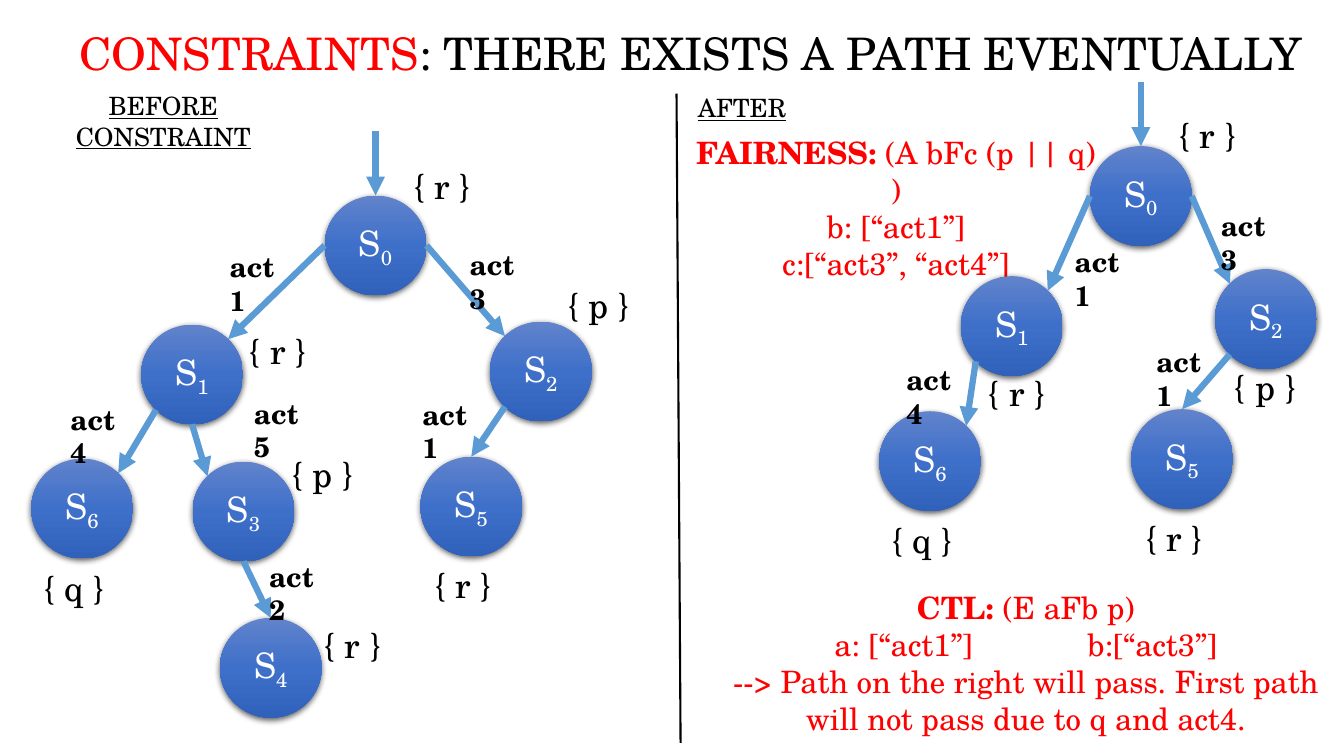
from copy import deepcopy
from math import cos, radians, sin

from lxml.etree import SubElement
from pptx import Presentation
from pptx.dml.color import RGBColor
from pptx.enum.shapes import MSO_CONNECTOR as Link, MSO_SHAPE as Preset
from pptx.enum.text import MSO_ANCHOR as Anchor, MSO_AUTO_SIZE as Fit, PP_ALIGN as Align
from pptx.oxml.ns import qn
from pptx.util import Inches, Pt

BLACK = RGBColor(0x00, 0x00, 0x00)
WHITE = RGBColor(0xFF, 0xFF, 0xFF)
RED = RGBColor(0xFF, 0x00, 0x00)
ARROW_BLUE = RGBColor(0x5B, 0x9B, 0xD5)
NODE_BLUES = [RGBColor(0x61, 0x83, 0xCB), RGBColor(0x3E, 0x70, 0xCA), RGBColor(0x30, 0x62, 0xBB)]

CELL = Inches(0.1)
NODE_WIDTH, NODE_HEIGHT = 10.1, 9.9
ENTRY_LENGTH = 6.4
RIGHT, TOP_RIGHT, TOP, TOP_LEFT, LEFT, BOTTOM_LEFT, BOTTOM = range(0, 315, 45)
STATE_WIDTHS = {"r": 9.2, "p": 9.8, "q": 9.7}

BEFORE = {
    "nodes": {
        "0": (32.2, 19.4, "r", 40, 15.8),
        "1": (14, 32.2, "r", 23.7, 32.2),
        "2": (48.6, 31.9, "p", 55.3, 27.6),
        "3": (19.1, 45.8, "p", 27.9, 44.4),
        "4": (21.8, 61.3, "r", 31.1, 61.4),
        "5": (41.7, 45.3, "r", 42.1, 55.4),
        "6": (3.1, 45.5, "q", 3.3, 55.7),
    },
    "edges": [
        ("0", LEFT, "1", TOP_RIGHT, "act1", 21.8, 24.3),
        ("0", RIGHT, "2", TOP_LEFT, "act3", 45.6, 24.1),
        ("1", BOTTOM_LEFT, "6", TOP_RIGHT, "act4", 6, 39.4),
        ("1", BOTTOM, "3", TOP_LEFT, "act5", 24.2, 38.8),
        ("2", BOTTOM_LEFT, "5", TOP, "act1", 40.9, 38.9),
        ("3", BOTTOM, "4", TOP, "act2", 25.7, 55),
    ],
}
AFTER = {
    "nodes": {
        "0": (108.1, 14.5, "r", 115.9, 10.8),
        "1": (95.3, 27.4, "r", 97, 36.4),
        "2": (120.5, 26.7, "p", 121.4, 35.8),
        "5": (112.2, 40.6, "r", 112.6, 50.7),
        "6": (87.2, 40.8, "q", 87.4, 50.9),
    },
    "edges": [
        ("0", LEFT, "1", TOP_RIGHT, "act1", 105.6, 23.8),
        ("0", RIGHT, "2", TOP_LEFT, "act3", 120.1, 20.2),
        ("1", BOTTOM_LEFT, "6", TOP_RIGHT, "act4", 88.9, 35.5),
        ("2", BOTTOM_LEFT, "5", TOP, "act1", 113.7, 33.7),
    ],
}


def grid(*cells):
    return [round(cell * CELL) for cell in cells]


class Sketch:
    font = "TeX Gyre Schola"

    def __init__(self, page):
        self.page = page

    def style(self, para, size, color, align, bold=None, underline=None):
        para.alignment = align
        font = para.font
        font.name, font.size, font.bold, font.underline = self.font, Pt(size), bold, underline
        font.color.rgb = color

    def text(self, place, lines, size, color=BLACK, align=Align.CENTER, **looks):
        box = self.page.shapes.add_textbox(*grid(*place))
        frame = box.text_frame
        frame.word_wrap = True
        frame.auto_size = Fit.SHAPE_TO_FIT_TEXT
        for number, spans in enumerate(lines):
            para = frame.paragraphs[0] if number == 0 else frame.add_paragraph()
            self.style(para, size, color, align, **looks)
            for words, changes in spans:
                span = para.add_run()
                span.text = words
                if "bold" in changes:
                    span.font.bold = changes["bold"]
                if "color" in changes:
                    span.font.color.rgb = changes["color"]
        return box

    def label(self, place, words, size, **looks):
        return self.text(place, [[(words, {})]], size, **looks)

    def node(self, left, top, index):
        node = self.page.shapes.add_shape(Preset.OVAL, *grid(left, top, NODE_WIDTH, NODE_HEIGHT))
        node.line.fill.background()
        node.fill.gradient()
        node.fill.gradient_angle = 270
        properties = node.element.spPr
        stops = properties.find(".//" + qn("a:gsLst"))
        stops.insert(1, deepcopy(stops[0]))
        for stop, position, color in zip(node.fill.gradient_stops, (0, 0.5, 1), NODE_BLUES):
            stop.position = position
            stop.color.rgb = color
        node.shadow.inherit = False
        shadow = SubElement(properties.find(qn("a:effectLst")), qn("a:outerShdw"),
                            blurRad=str(Pt(4.5)), dist=str(Pt(1.5)), dir="5400000", rotWithShape="0")
        SubElement(SubElement(shadow, qn("a:srgbClr"), val=str(BLACK)), qn("a:alpha"), val="63000")
        node.text_frame.vertical_anchor = Anchor.MIDDLE
        para = node.text_frame.paragraphs[0]
        self.style(para, 25, WHITE, Align.CENTER)
        para.add_run().text = "S"
        subscript = para.add_run()
        subscript.text = index
        subscript.font.element.set("baseline", "-25000") if hasattr(subscript.font, "element") else \
            subscript._r.get_or_add_rPr().set("baseline", "-25000")
        return node

    def line(self, start, end, color, width):
        line = self.page.shapes.add_connector(Link.STRAIGHT, *grid(*start, *end))
        line.line.color.rgb = color
        line.line.width = Pt(width)
        SubElement(line.element.spPr, qn("a:effectLst"))
        return line

    def arrow(self, start, end, target, site):
        arrow = self.line(start, end, ARROW_BLUE, 4.5)
        SubElement(arrow.element.spPr.find(qn("a:ln")), qn("a:tailEnd"), type="triangle")
        if site == TOP:
            arrow.end_connect(target, 0)

    def tree(self, nodes, edges):
        def point(index, angle):
            left, top = nodes[index][:2]
            return (left + NODE_WIDTH / 2 * (1 + cos(radians(angle))),
                    top + NODE_HEIGHT / 2 * (1 - sin(radians(angle))))

        circles = {}
        for index, (left, top, state, state_left, state_top) in nodes.items():
            circles[index] = self.node(left, top, index)
            self.label((state_left, state_top, STATE_WIDTHS[state], 5.2), f"{{ {state} }}", 25,
                       align=Align.LEFT)
        root_x, root_y = point("0", TOP)
        self.arrow((root_x, root_y - ENTRY_LENGTH), (root_x, root_y), circles["0"], TOP)
        for source, exit_site, target, entry_site, action, left, top in edges:
            self.arrow(point(source, exit_site), point(target, entry_site), circles[target], entry_site)
            self.label((left, top, 7.2, 4.4), action, 20, align=Align.LEFT, bold=True)


def main():
    deck = Presentation()
    deck.slide_width, deck.slide_height = Inches(13.33), Inches(7.5)
    sketch = Sketch(deck.slides.add_slide(deck.slide_layouts[6]))

    sketch.text((6.4, 2.1, 124.3, 6.4),
                [[("CONSTRAINTS", {"color": RED}), (": THERE EXISTS A PATH EVENTUALLY", {})]], 32)
    sketch.label((0.8, 8.5, 30.8, 4), "BEFORE CONSTRAINT", 18, underline=True)
    sketch.label((68.1, 8.7, 11, 4), "AFTER", 18, underline=True)
    sketch.line((67.1, 9.3), (67.5, 73.7), BLACK, 1.5)
    sketch.text((67.9, 12.8, 41.9, 12.1), [
        [("FAIRNESS: ", {"bold": True}), ("(A bFc (p || q) )", {})],
        [("b: [“act1”]", {})],
        [("c:[“act3”, “act4”]", {})],
    ], 22, RED)
    formula = sketch.text((70.1, 57.9, 63.3, 15.8), [
        [("CTL: ", {"bold": True}), ("(E aFb p)", {})],
        [("a: [“act1”]\tb:[“act3”]", {})],
        [("--> Path on the right will pass. First path will not pass due to q and act4.", {})],
    ], 22, RED)
    actions = formula.text_frame.paragraphs[1]._p.get_or_add_pPr()
    tabs = SubElement(actions, qn("a:tabLst"))
    SubElement(tabs, qn("a:tab"), pos=str(Inches(2.51)), algn="l")
    actions.insert(0, tabs)

    for tree in (BEFORE, AFTER):
        sketch.tree(**tree)
    deck.save("out.pptx")


if __name__ == "__main__":
    main()
